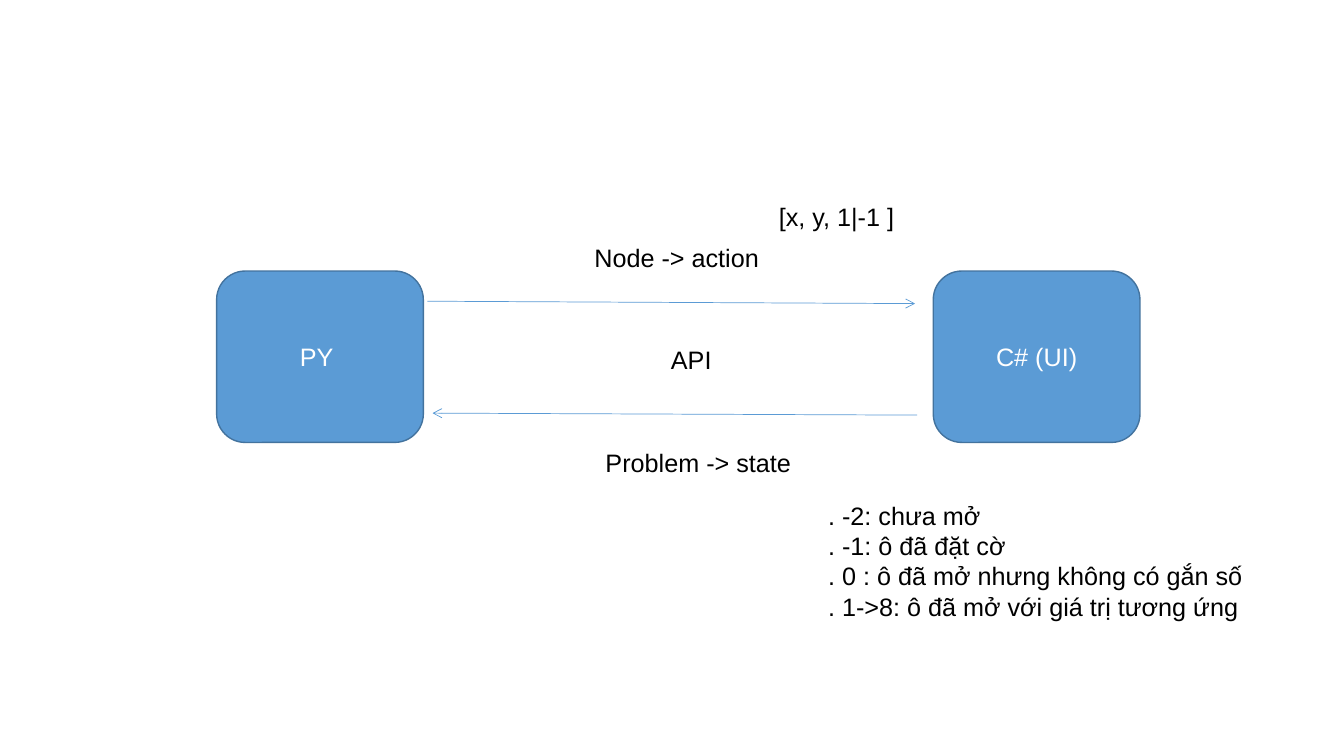
from dataclasses import dataclass

import pptx
import pptx.dml.color
import pptx.enum.shapes
import pptx.enum.text
import pptx.oxml.ns
import pptx.shapes.connector
import pptx.slide
import pptx.text.text
import pptx.util
from lxml import etree
from pptx.util import Cm

COLOURS = {"box": "5B9BD5", "outline": "43739E", "arrow": "5B9BD5",
           "box text": "FFFFFF", "label": "000000"}
BOX_TOP, BOX_WIDTH, BOX_HEIGHT = 6.83, 5.21, 4.32
LINE_HEIGHT, LABEL_PADDING = 0.77, 0.25


@dataclass
class Component:
    name: str
    left: float


@dataclass
class Message:
    start: tuple[float, float]
    end: tuple[float, float]


@dataclass
class Label:
    lines: list[str]
    left: float
    top: float
    width: float


COMPONENTS = [Component("PY ", 5.46), Component("C# (UI)", 23.52)]
MESSAGES = [
    Message((10.77, 7.59), (23.06, 7.65)),
    Message((23.11, 10.46), (10.9, 10.41)),
]
LABELS = [
    Label(["Node -> action"], 14.73, 5.97, 4.65),
    Label(["Problem -> state"], 15.01, 11.15, 5.18),
    Label([
        ". -2: chưa mở",
        ". -1: ô đã đặt cờ",
        ". 0 : ô đã mở nhưng không có gắn số",
        ". 1->8: ô đã mở với giá trị tương ứng",
    ], 20.62, 12.48, 11.02),
    Label(["[x, y, 1|-1 ]"], 19.38, 4.95, 3.5),
    Label(["API"], 16.66, 8.55, 1.6),
]


def rgb(part: str) -> pptx.dml.color.RGBColor:
    return pptx.dml.color.RGBColor.from_string(COLOURS[part])


def format_runs(frame: pptx.text.text.TextFrame, part: str) -> None:
    for paragraph in frame.paragraphs:
        for run in paragraph.runs:
            run.font.name = "Arial"
            run.font.size = pptx.util.Pt(18)
            run.font.color.rgb = rgb(part)


def draw_component(slide: pptx.slide.Slide, component: Component) -> None:
    box = slide.shapes.add_shape(
        pptx.enum.shapes.MSO_SHAPE.ROUNDED_RECTANGLE,
        Cm(component.left), Cm(BOX_TOP), Cm(BOX_WIDTH), Cm(BOX_HEIGHT))
    box.shadow.inherit = False
    box.fill.solid()
    box.fill.fore_color.rgb = rgb("box")
    box.line.color.rgb = rgb("outline")
    box.line.width = pptx.util.Pt(1)
    box.text_frame.text = component.name
    box.text_frame.vertical_anchor = pptx.enum.text.MSO_ANCHOR.MIDDLE
    box.text_frame.paragraphs[0].alignment = pptx.enum.text.PP_ALIGN.CENTER
    format_runs(box.text_frame, "box text")


def finish_arrow(arrow: pptx.shapes.connector.Connector) -> None:
    """Put an open head at the arrow's end and take its shadow away."""
    qn = pptx.oxml.ns.qn
    etree.SubElement(arrow.line._get_or_add_ln(), qn("a:tailEnd"), type="arrow")
    etree.SubElement(arrow._element.spPr, qn("a:effectLst"))


def draw_message(slide: pptx.slide.Slide, message: Message) -> None:
    arrow = slide.shapes.add_connector(
        pptx.enum.shapes.MSO_CONNECTOR.STRAIGHT,
        *(Cm(length) for length in message.start + message.end))
    arrow.line.color.rgb = rgb("arrow")
    arrow.line.width = pptx.util.Pt(0.5)
    finish_arrow(arrow)


def draw_label(slide: pptx.slide.Slide, label: Label) -> None:
    height = LABEL_PADDING + LINE_HEIGHT * len(label.lines)
    frame = slide.shapes.add_textbox(
        Cm(label.left), Cm(label.top), Cm(label.width), Cm(height)).text_frame
    frame.word_wrap = False
    frame.auto_size = pptx.enum.text.MSO_AUTO_SIZE.SHAPE_TO_FIT_TEXT
    frame.text = "\n".join(label.lines)
    format_runs(frame, "label")


def main() -> None:
    presentation = pptx.Presentation()
    presentation.slide_width, presentation.slide_height = Cm(33.87), Cm(19.05)
    slide = presentation.slides.add_slide(presentation.slide_layouts[6])
    for component in COMPONENTS:
        draw_component(slide, component)
    for message in MESSAGES:
        draw_message(slide, message)
    for label in LABELS:
        draw_label(slide, label)
    presentation.save("out.pptx")


if __name__ == "__main__":
    main()
